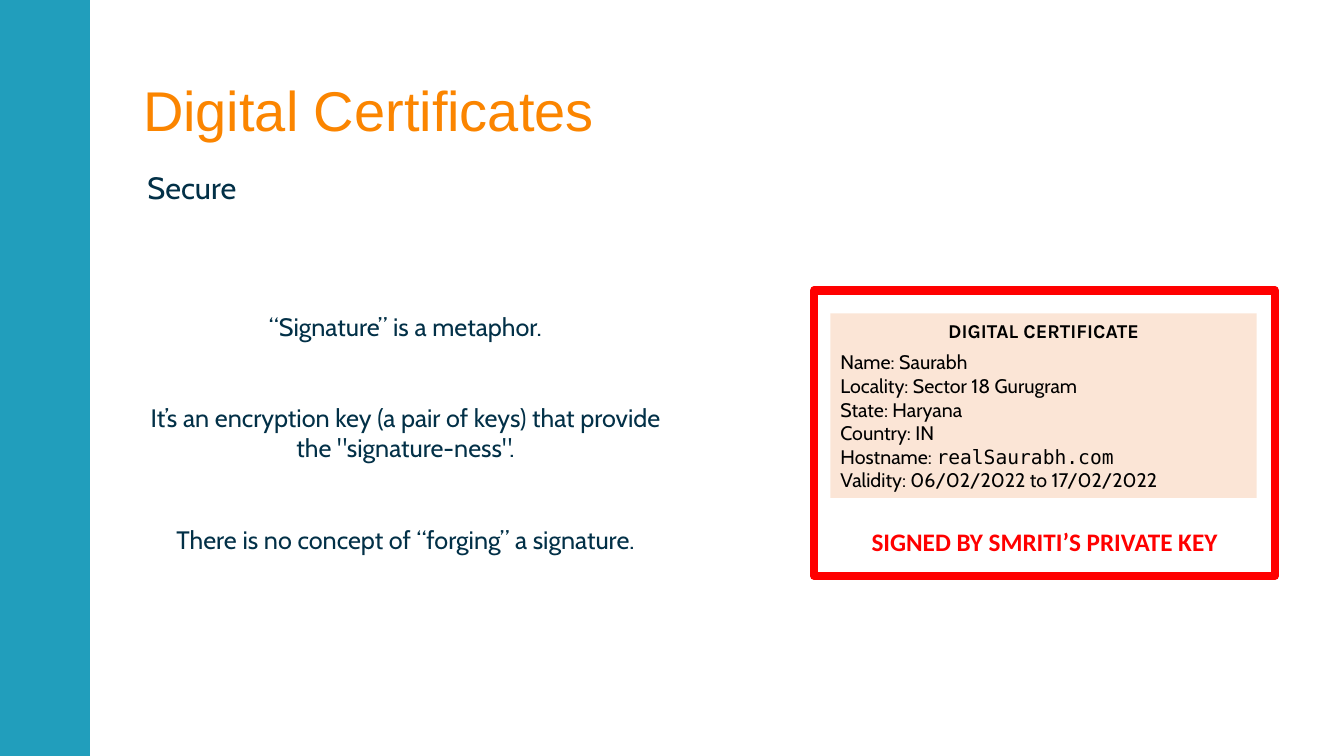
from dataclasses import dataclass
from pptx import Presentation
from pptx.dml.color import RGBColor
from pptx.enum.shapes import MSO_SHAPE
from pptx.enum.text import MSO_ANCHOR, MSO_AUTO_SIZE, PP_ALIGN
from pptx.oxml.ns import qn
from pptx.util import Cm, Pt

# Content
TITLE = "Digital Certificates"
TOPIC = "Secure"
POINTS = [
    "“Signature” is a metaphor.",
    "It’s an encryption key (a pair of keys) that provide the \"signature-ness\".",
    "There is no concept of “forging” a signature.",
]
HEAD = "DIGITAL CERTIFICATE"
FIELDS = [
    ("Name", "Saurabh"),
    ("Locality", "Sector 18 Gurugram"),
    ("State", "Haryana"),
    ("Country", "IN"),
    ("Hostname", "realSaurabh.com"),
    ("Validity", "06/02/2022 to 17/02/2022"),
]
SIGNED = "SIGNED BY SMRITI’S PRIVATE KEY"


# Theme: each style is font, size, colour, bold
@dataclass(frozen=True)
class Theme:
    bar: str = "219EBC"
    paper: str = "FFFFFF"
    card: str = "FBE5D6"
    alert: str = "FF0000"
    title: tuple = ("Arial", 40, "FB8500", False)
    topic: tuple = ("Cabin", 22, "023047", False)
    point: tuple = ("Cabin", 18, "023047", False)
    head: tuple = ("Karla", 14, "000000", True)
    field: tuple = ("Cabin", 14, "000000", False)
    host: tuple = ("DejaVu Sans Mono", 14, "000000", False)
    sign: tuple = ("Calibri", 18, "FF0000", True)


LOOK = Theme()
TALL = 19.05


def add_run(para, text, style):
    run = para.add_run()
    run.text = text
    run.font.name, size, color, run.font.bold = style
    run.font.size = Pt(size)
    run.font.color.rgb = RGBColor.from_string(color)


def add_para(frame, align, first=False, before=0, after=0):
    para = frame.paragraphs[0] if first else frame.add_paragraph()
    para.alignment = align
    para.space_before, para.space_after = Pt(before), Pt(after)
    return para


def add_rect(shapes, box, fill, line=None, width=0):
    rect = shapes.add_shape(MSO_SHAPE.RECTANGLE, *map(Cm, box))
    rect.shadow.inherit = False
    rect.fill.solid()
    rect.fill.fore_color.rgb = RGBColor.from_string(fill)
    if line:
        rect.line.color.rgb = RGBColor.from_string(line)
        rect.line.width = Pt(width)
    else:
        rect.line.fill.background()
    return rect


def set_holder(holder, box, text, style, spacing, anchor):
    holder.left, holder.top, holder.width, holder.height = map(Cm, box)
    frame = holder.text_frame
    frame.auto_size = MSO_AUTO_SIZE.NONE
    frame.vertical_anchor = anchor
    para = add_para(frame, PP_ALIGN.LEFT, first=True)
    para.line_spacing = spacing
    add_run(para, text, style)
    return para


def main():
    deck = Presentation()
    deck.slide_width, deck.slide_height = Cm(33.87), Cm(TALL)
    slide = deck.slides.add_slide(deck.slide_layouts[1])
    shapes = slide.shapes

    # Title and topic
    set_holder(shapes.title, (3.35, 0.79, 27.18, 4.19), TITLE, LOOK.title,
               0.85, MSO_ANCHOR.MIDDLE)
    topic = set_holder(slide.placeholders[1], (2.95, 4.22, 7.95, 1.52), TOPIC,
                       LOOK.topic, 0.9, MSO_ANCHOR.TOP)
    props = topic._p.get_or_add_pPr()
    props.set("marL", str(Cm(0.51)))
    props.set("indent", "0")
    props.append(props.makeelement(qn("a:buNone"), {}))

    # Side bar
    add_rect(shapes, (0, 0, 2.24, TALL), LOOK.bar, LOOK.bar, 1)

    # Signed frame around the certificate
    group = shapes.add_group_shape().shapes
    frame = add_rect(group, (20.52, 7.32, 11.61, 7.19), LOOK.paper,
                     LOOK.alert, 6).text_frame
    frame.word_wrap = True
    frame.vertical_anchor = MSO_ANCHOR.BOTTOM
    frame.margin_bottom = Cm(0.48)
    add_run(add_para(frame, PP_ALIGN.CENTER, first=True), SIGNED, LOOK.sign)

    # Certificate card
    card = add_rect(group, (20.93, 7.9, 10.74, 4.65), LOOK.card).text_frame
    card.word_wrap = True
    card.vertical_anchor = MSO_ANCHOR.TOP
    add_run(add_para(card, PP_ALIGN.CENTER, first=True, after=6), HEAD, LOOK.head)
    for name, value in FIELDS:
        para = add_para(card, PP_ALIGN.LEFT)
        add_run(para, f"{name}: ", LOOK.field)
        add_run(para, value, LOOK.host if name == "Hostname" else LOOK.field)

    # Statements on the left
    notes = shapes.add_textbox(*map(Cm, (3.12, 7.72, 14.2, 6.4))).text_frame
    notes.word_wrap = True
    for i, point in enumerate(POINTS):
        para = add_para(notes, PP_ALIGN.CENTER, first=i == 0,
                        before=43.5 if i else 0)
        add_run(para, point, LOOK.point)

    deck.save("out.pptx")


if __name__ == "__main__":
    main()
